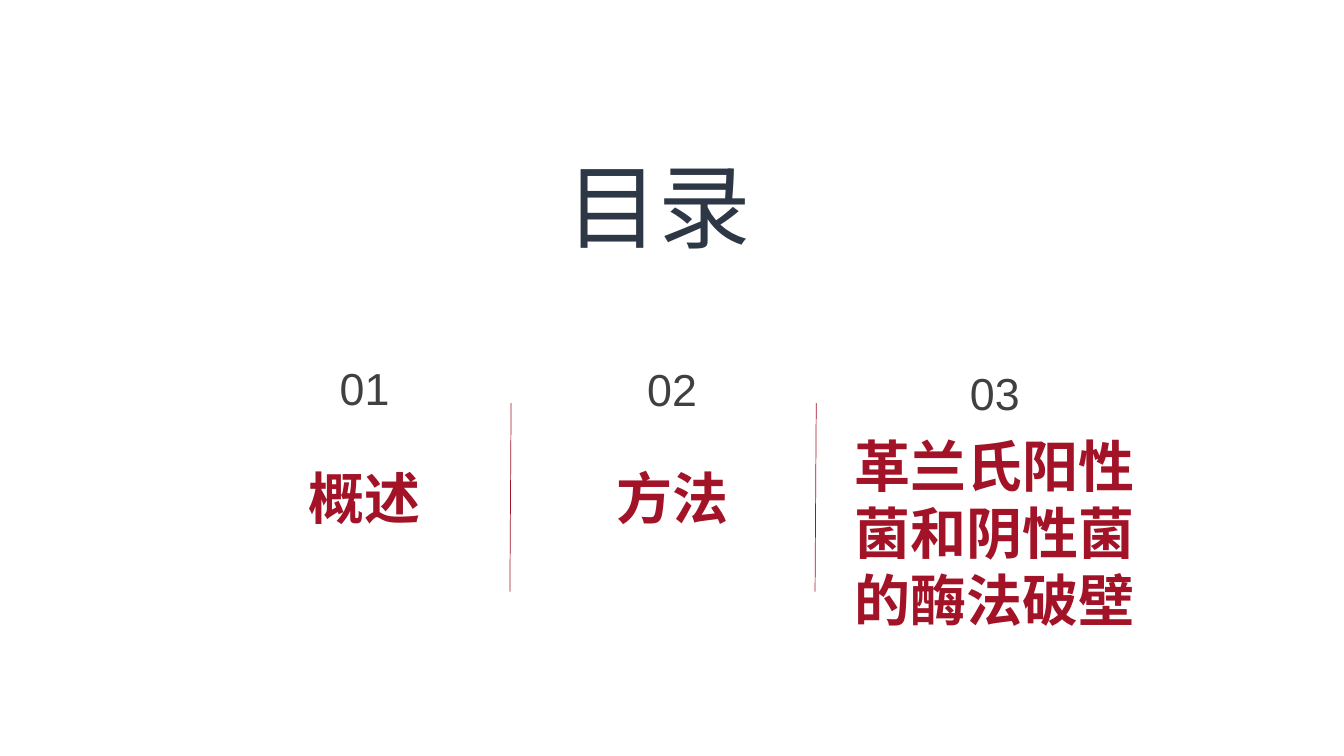
from lxml.etree import SubElement
from pptx import Presentation
from pptx.dml.color import RGBColor
from pptx.enum.shapes import MSO_CONNECTOR as LINK
from pptx.enum.text import MSO_ANCHOR as ANCHOR, MSO_AUTO_SIZE as FIT, PP_ALIGN as ALIGN
from pptx.oxml.ns import qn
from pptx.util import Cm, Pt

NAVY = RGBColor(0x2E, 0x37, 0x46)
RED = RGBColor(0xA2, 0x13, 0x27)
GRAY = RGBColor(0x40, 0x40, 0x40)
HAN, LATIN = "Noto Sans CJK SC", "Arial"

TITLE = "目录"
# heading, centre, number top, heading top, width, height (cm)
TOPICS = [
    ("概述", 9.19, 8.97, 11.56, 6.25, 1.96),
    ("方法", 16.94, 8.99, 11.56, 6.25, 1.96),
    ("革兰氏阳性菌和阴性菌的酶法破壁", 25.07, 9.09, 10.74, 8.46, 5.38),
]
RULES = [12.88, 20.57]
RULE_TOP, RULE_END, SLANT = 10.16, 14.91, 0.03
NUM_W, NUM_H = 2.39, 1.63


def write(shape, box, text, size, color, font, bold=False, align=ALIGN.CENTER):
    """Place a text shape at box (cm) and fill it with formatted text."""
    shape.left, shape.top, shape.width, shape.height = map(Cm, box)
    frame = shape.text_frame
    frame.text = text
    frame.word_wrap = True
    frame.auto_size = FIT.SHAPE_TO_FIT_TEXT
    frame.vertical_anchor = ANCHOR.TOP
    para = frame.paragraphs[0]
    para.alignment = align
    run = para.runs[0]
    run.font.size, run.font.bold, run.font.name = Pt(size), bold, font
    run.font.color.rgb = color
    SubElement(run.font._element, qn("a:ea"), typeface=font)


def add_text(slide, *args, **style):
    write(slide.shapes.add_textbox(0, 0, 0, 0), *args, **style)


def add_rule(slide, x):
    ends = map(Cm, (x, RULE_TOP, x - SLANT, RULE_END))
    rule = slide.shapes.add_connector(LINK.STRAIGHT, *ends)
    rule.line.color.rgb = RED
    rule.line.width = Pt(0.5)
    SubElement(rule._element.spPr, qn("a:effectLst"))


def main():
    deck = Presentation()
    deck.slide_width, deck.slide_height = Cm(33.87), Cm(19.05)
    slide = deck.slides.add_slide(deck.slide_layouts[5])
    write(slide.shapes.title, (14.02, 3.63, 5.84, 3.07), TITLE, 66, NAVY, HAN,
          align=ALIGN.JUSTIFY)
    for i, (name, mid, num_top, top, wide, high) in enumerate(TOPICS, 1):
        add_text(slide, (mid - NUM_W / 2, num_top, NUM_W, NUM_H),
                 f"{i:02}", 32, GRAY, LATIN)
        add_text(slide, (mid - wide / 2, top, wide, high),
                 name, 40, RED, HAN, bold=True)
    for x in RULES:
        add_rule(slide, x)
    deck.save("out.pptx")


if __name__ == "__main__":
    main()
